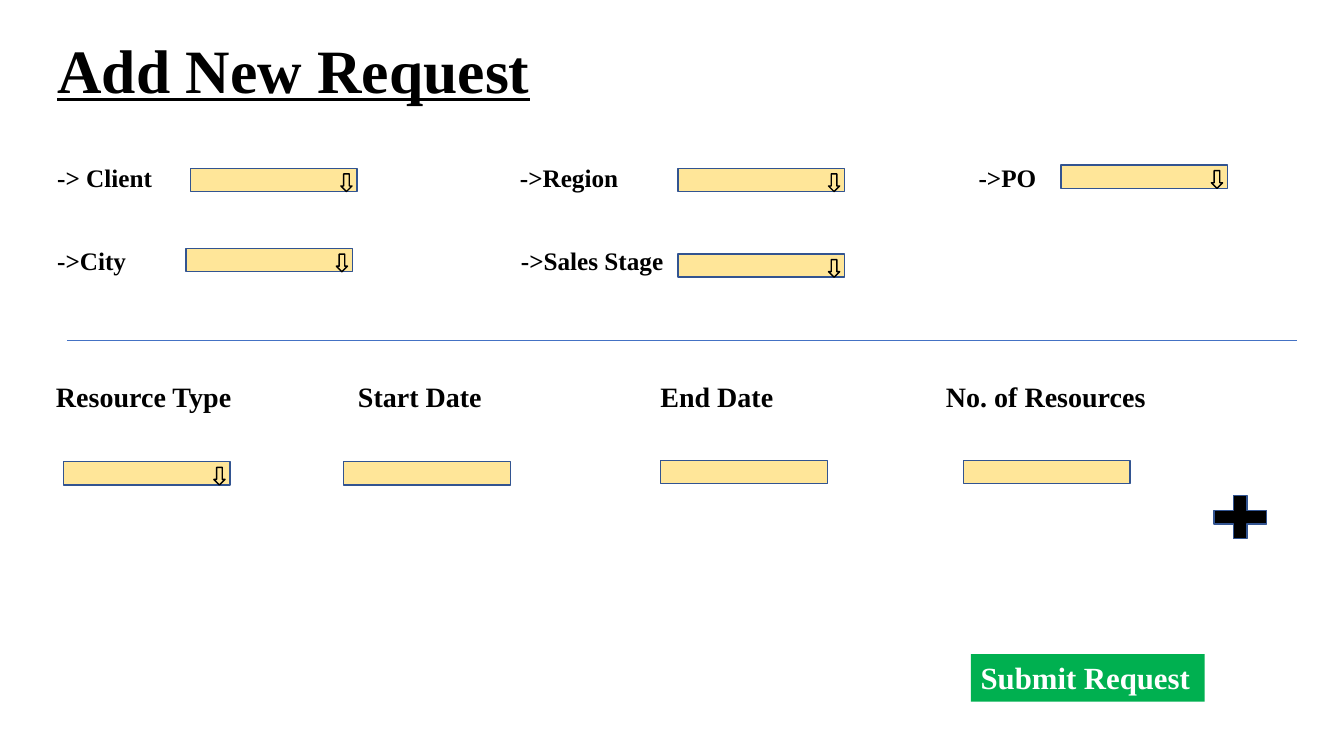
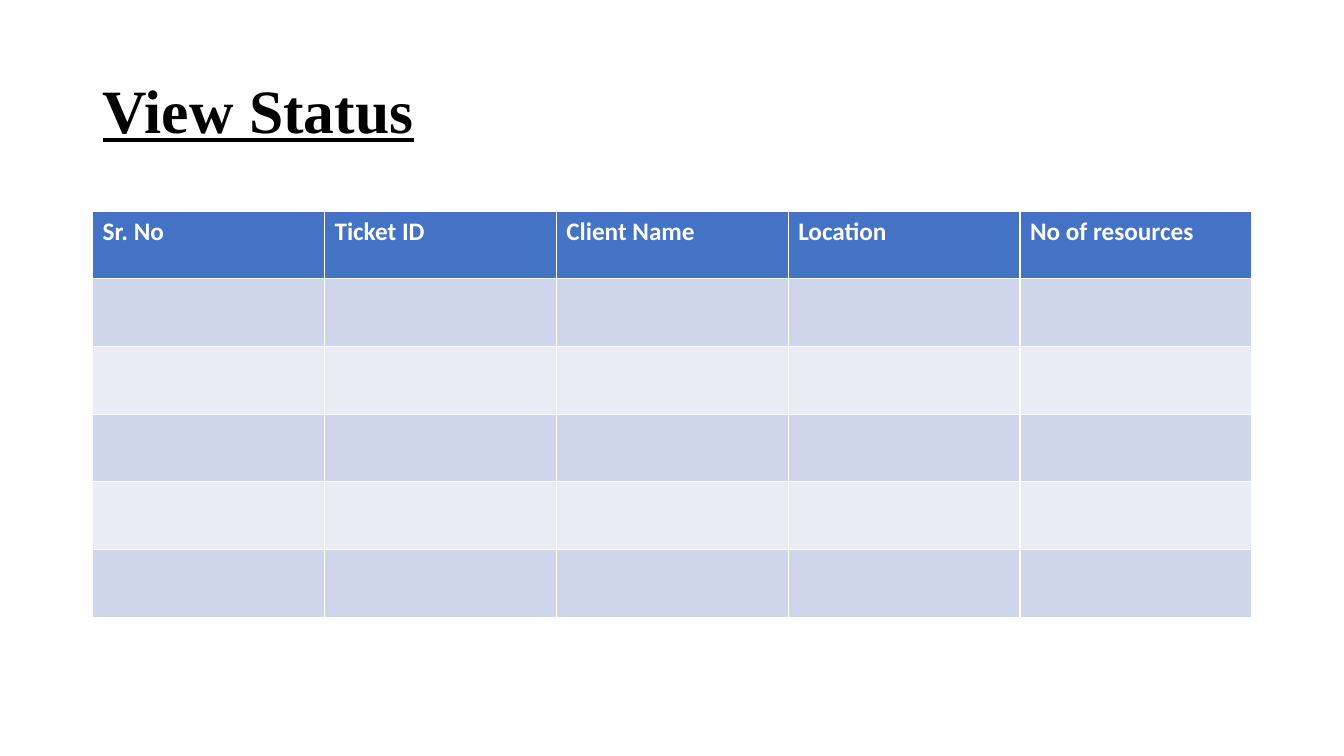
"""Build the request form and status table slides."""
from dataclasses import dataclass

from lxml import etree
from pptx import Presentation
from pptx.dml.color import RGBColor
from pptx.enum.shapes import MSO_CONNECTOR, MSO_SHAPE
from pptx.enum.text import MSO_ANCHOR, MSO_AUTO_SIZE, PP_ALIGN
from pptx.oxml.ns import qn
from pptx.util import Pt

RECTANGLE, DOWN_ARROW, PLUS = MSO_SHAPE.RECTANGLE, MSO_SHAPE.DOWN_ARROW, MSO_SHAPE.MATH_PLUS
STRAIGHT = MSO_CONNECTOR.STRAIGHT
TOP, MIDDLE = MSO_ANCHOR.TOP, MSO_ANCHOR.MIDDLE
LEFT = PP_ALIGN.LEFT
NO_AUTOFIT = MSO_AUTO_SIZE.NONE


@dataclass(frozen=True)
class Theme:
    black: RGBColor = RGBColor.from_string("000000")
    white: RGBColor = RGBColor.from_string("FFFFFF")
    blue: RGBColor = RGBColor.from_string("4472C4")
    outline: RGBColor = RGBColor.from_string("325491")
    field: RGBColor = RGBColor.from_string("FFE699")
    button: RGBColor = RGBColor.from_string("00B050")
    dark_band: RGBColor = RGBColor.from_string("CFD5EA")
    light_band: RGBColor = RGBColor.from_string("E9EBF5")
    serif: str = "Times New Roman"
    sans: str = "Calibri"
    title_size: int = 44
    button_size: int = 22
    heading_size: int = 20
    body_size: int = 18


theme = Theme()


def write_text(frame, text, size, color=theme.black, name=theme.serif, underline=None, anchor=TOP):
    frame.auto_size = NO_AUTOFIT
    frame.word_wrap = True
    frame.vertical_anchor = anchor
    paragraph = frame.paragraphs[0]
    paragraph.alignment = LEFT
    run = paragraph.add_run()
    run.text = text
    font_format = {"name": name, "size": Pt(size), "bold": True, "underline": underline}
    for attribute, value in font_format.items():
        setattr(run.font, attribute, value)
    run.font.color.rgb = color
    return paragraph


def add_box(shapes, preset, left, top, width, height, fill, line=None):
    shape = shapes.add_shape(preset, Pt(left), Pt(top), Pt(width), Pt(height))
    shape.shadow.inherit = False
    shape.fill.solid()
    shape.fill.fore_color.rgb = fill
    if line is None:
        shape.line.fill.background()
    else:
        shape.line.color.rgb = line
        shape.line.width = Pt(1)
    return shape


presentation = Presentation()
presentation.slide_width = Pt(960)
presentation.slide_height = Pt(540)
title_only = presentation.slide_layouts[5]

slides = []
for title_text, left, top in [("Add New Request", 33.8, 0), ("View Status", 66.2, 28.8)]:
    slide = presentation.slides.add_slide(title_only)
    title = slide.shapes.title
    place = {"left": Pt(left), "top": Pt(top), "width": Pt(828), "height": Pt(104.4)}
    for attribute, value in place.items():
        setattr(title, attribute, value)
    paragraph = write_text(title.text_frame, title_text, theme.title_size, underline=True, anchor=MIDDLE)
    paragraph.line_spacing = 0.9
    slides.append(slide)
request_slide, status_slide = slides

labels = [
    ("-> Client", 33.8, 112.3),
    ("->City", 33.8, 171.6),
    ("->Region", 364.3, 112.3),
    ("->Sales Stage", 365, 171.9),
    ("->PO", 691.9, 112.3),
]
for text, left, top in labels:
    label = request_slide.shapes.add_textbox(Pt(left), Pt(top), Pt(126), Pt(29))
    write_text(label.text_frame, text, theme.body_size)

divider = request_slide.shapes.add_connector(STRAIGHT, Pt(47.8), Pt(243.2), Pt(926.4), Pt(243.2))
divider.line.color.rgb = theme.blue
divider.line.width = Pt(0.5)
etree.SubElement(divider._element.spPr, qn("a:effectLst"))

headings = request_slide.shapes.add_textbox(Pt(32.9), Pt(267.8), Pt(879), Pt(31.5))
heading_text = "Resource Type\tStart Date\tEnd Date\tNo. of Resources"
paragraph = write_text(headings.text_frame, heading_text, theme.heading_size)
tab_list = etree.SubElement(paragraph._p.get_or_add_pPr(), qn("a:tabLst"))
for position in (215.7, 431.7, 635.7):
    etree.SubElement(tab_list, qn("a:tab"), pos=str(Pt(position)), algn="l")

field_width, field_height = 119, 16.6
dropdowns = [(45.4, 329.8), (136.1, 120.2), (132.9, 177.5), (484.4, 120.2), (484.4, 181.4), (757.9, 117.9)]
for left, top in dropdowns:
    group = request_slide.shapes.add_group_shape()
    add_box(group.shapes, RECTANGLE, left, top, field_width, field_height, theme.field, theme.outline)
    add_box(group.shapes, DOWN_ARROW, left + 107.4, top + 4, 8, 12.6, theme.field, theme.black)

for left, top in [(245.5, 329.8), (472, 329), (688.1, 329)]:
    add_box(request_slide.shapes, RECTANGLE, left, top, field_width, field_height, theme.field, theme.outline)

add_box(request_slide.shapes, PLUS, 860.4, 348.5, 51.1, 41.8, theme.black, theme.outline)
button = add_box(request_slide.shapes, RECTANGLE, 693.4, 467.3, 167, 33.9, theme.button)
write_text(button.text_frame, "Submit Request", theme.button_size, theme.white)

columns = ["Sr. No", "Ticket ID", "Client Name", "Location", "No of resources"]
row_count = 6
frame = status_slide.shapes.add_table(row_count, len(columns), Pt(66.2), Pt(150.8), Pt(828), Pt(290))
table = frame.table
for row_index in range(row_count):
    band = theme.dark_band if row_index % 2 else theme.light_band
    for column_index, heading in enumerate(columns):
        cell = table.cell(row_index, column_index)
        cell.fill.solid()
        cell.fill.fore_color.rgb = band if row_index else theme.blue
        if row_index == 0:
            write_text(cell.text_frame, heading, theme.body_size, theme.white, theme.sans)

presentation.save("out.pptx")
